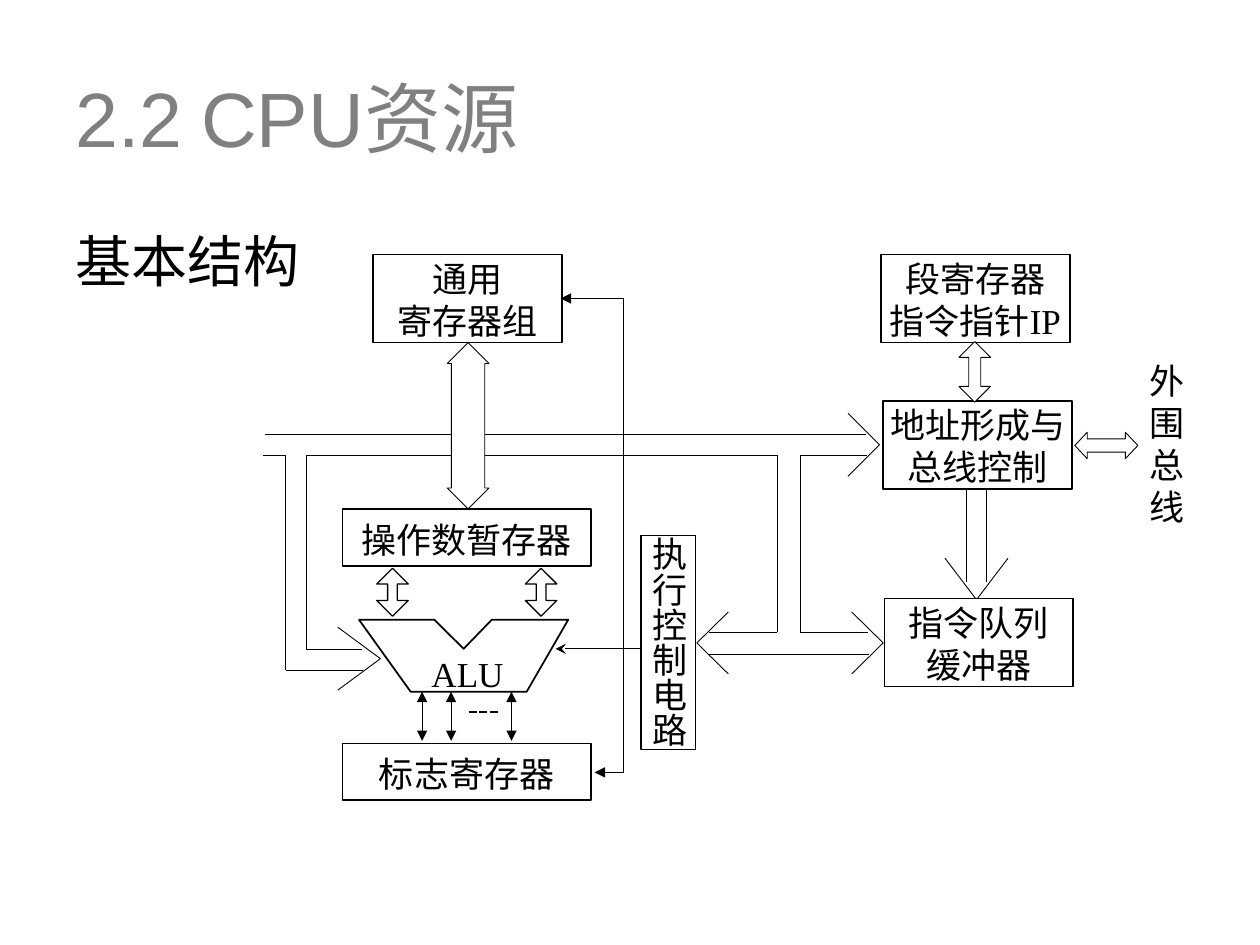
"""Build the slide on CPU resources with its block diagram."""
from itertools import pairwise

from lxml.etree import SubElement as Sub
from pptx import Presentation
from pptx.dml.color import RGBColor
from pptx.enum.dml import MSO_LINE as Dash
from pptx.enum.shapes import MSO_CONNECTOR as Conn, MSO_SHAPE as Kind
from pptx.enum.text import MSO_ANCHOR as Anchor, PP_ALIGN as Align
from pptx.oxml.ns import qn
from pptx.util import Pt

BLACK = RGBColor(0, 0, 0)
WHITE = RGBColor(255, 255, 255)
GRAY = RGBColor(128, 128, 128)


class Board:
    """Hold the text style and the slide being drawn."""

    def __init__(self, slide, face="Times New Roman", size=20):
        self.shapes = slide.shapes
        self.face = face
        self.size = size

    def letter(self, frame, text, color=BLACK, face=None, size=None, align=Align.CENTER):
        """Fill a text frame, one paragraph per line of text."""
        frame.word_wrap = True
        frame.text = text
        for para in frame.paragraphs:
            para.alignment = align
            para.font.name = face or self.face
            para.font.size = Pt(size or self.size)
            para.font.color.rgb = color

    def inset(self, frame, top):
        """Clear the margins of a text frame, save the top one."""
        frame.margin_left = frame.margin_right = frame.margin_bottom = 0
        frame.margin_top = Pt(top)

    def title(self, x, y, w, h, text, stop):
        """Add the heading, with one tab stop."""
        frame = self.shapes.add_textbox(Pt(x), Pt(y), Pt(w), Pt(h)).text_frame
        frame.vertical_anchor = Anchor.MIDDLE
        tabs = Sub(frame.paragraphs[0]._p.get_or_add_pPr(), qn("a:tabLst"))
        Sub(tabs, qn("a:tab"), pos=str(Pt(stop)), algn="l")
        self.letter(frame, text, GRAY, "Arial", 44, Align.LEFT)

    def bullet(self, x, y, w, h, text, size, indent):
        """Add one bulleted line."""
        frame = self.shapes.add_textbox(Pt(x), Pt(y), Pt(w), Pt(h)).text_frame
        para = frame.paragraphs[0]
        para.line_spacing = 0.9
        props = para._p.get_or_add_pPr()
        props.set("marL", str(Pt(indent)))
        props.set("indent", str(-Pt(indent)))
        Sub(props, qn("a:buSzPct"), val="90000")
        Sub(props, qn("a:buChar"), char="■")
        self.letter(frame, text, size=size, align=Align.LEFT)

    def label(self, x, y, w, h, text, top=0):
        """Add centred text without a frame."""
        frame = self.shapes.add_textbox(Pt(x), Pt(y), Pt(w), Pt(h)).text_frame
        self.inset(frame, top)
        self.letter(frame, text)

    def paint(self, shape, width):
        """Give a shape its white fill and black line."""
        shape.shadow.inherit = False
        shape.fill.solid()
        shape.fill.fore_color.rgb = WHITE
        shape.line.color.rgb = BLACK
        shape.line.width = Pt(width)

    def box(self, x, y, w, h, text, top=1, upright=False):
        """Add a framed block with centred text."""
        shape = self.shapes.add_shape(Kind.RECTANGLE, Pt(x), Pt(y), Pt(w), Pt(h))
        self.paint(shape, 1)
        frame = shape.text_frame
        frame.vertical_anchor = Anchor.MIDDLE
        self.inset(frame, top)
        if upright:
            frame._txBody.bodyPr.set("vert", "eaVert")
        self.letter(frame, text)

    def arrow(self, x, y, w, h, tip, width=0.5, kind=Kind.UP_DOWN_ARROW):
        """Add a double block arrow."""
        shape = self.shapes.add_shape(kind, Pt(x), Pt(y), Pt(w), Pt(h))
        shape.adjustments[0] = 0.5
        shape.adjustments[1] = tip
        self.paint(shape, width)

    def outline(self, points):
        """Add a closed outline without fill."""
        first, *rest = [(Pt(x), Pt(y)) for x, y in points]
        pen = self.shapes.build_freeform(*first, scale=1.0)
        pen.add_line_segments(rest, close=True)
        shape = pen.convert_to_shape()
        self.paint(shape, 1)
        shape.fill.background()

    def line(self, start, end, width=0.5, head=None, tail=None, dash=None):
        """Add a straight line, with arrowheads if named."""
        ends = [Pt(n) for n in (*start, *end)]
        link = self.shapes.add_connector(Conn.STRAIGHT, *ends)
        link.line.color.rgb = BLACK
        link.line.width = Pt(width)
        if dash:
            link.line.dash_style = dash
        ln = link.line._get_or_add_ln()
        for tag, name in (("a:headEnd", head), ("a:tailEnd", tail)):
            if name:
                Sub(ln, qn(tag), type=name)
        Sub(link._element.spPr, qn("a:effectLst"))

    def route(self, *points):
        """Join points by thin lines."""
        for start, end in pairwise(points):
            self.line(start, end)

    def tip(self, x, y, dx, dy):
        """Add an open arrow tip that points sideways."""
        self.route((x - dx, y - dy), (x, y), (x - dx, y + dy))


def main():
    deck = Presentation()
    deck.slide_width, deck.slide_height = Pt(720), Pt(540)
    board = Board(deck.slides.add_slide(deck.slide_layouts[6]))

    board.title(36, 21.6, 648, 90, "2.2\tCPU资源", 85.6)
    board.bullet(36, 126, 648, 41.8, "基本结构", 32, 27)

    high, low = 248.4, 260
    board.route((151.2, high), (494.6, high))
    board.route((150.5, low), (163.4, low), (163.4, 383), (207.4, 383))
    board.route((206.6, 371), (175, 371), (175, low),
                (444.2, low), (444.2, 361.4), (405.4, 361.4))
    board.route((495.4, low), (457.2, low), (457.2, 361.4), (496, 361.4))
    board.route((496.8, 373.7), (404.6, 373.7))
    for x in (552.2, 563.8):
        board.route((x, 279.4), (x, 332.6))
    board.tip(217.4, 376.4, 24.4, 18)
    board.tip(502.6, 254.2, 18, 18)
    board.tip(504.7, 367.4, 18, 17.7)
    board.tip(398.2, 367.4, -18, 17.7)
    board.route((540, 319), (558, 342.7), (576, 319))

    for x, y, text in ((213, 145.4, "通用\n寄存器组"),
                       (503.3, 145.4, "段寄存器\n指令指针IP"),
                       (504.7, 229, "地址形成与总线控制"),
                       (505.4, 342, "指令队列\n缓冲器")):
        board.box(x, y, 108, 50.4, text)
    for y, text in ((291, "操作数暂存器"), (424.8, "标志寄存器")):
        board.box(195.8, y, 141.8, 32.4, text, 2)
    board.box(366.5, 306, 31, 122.4, "执行控制电路", upright=True)

    board.outline([(205.2, 354.2), (248.2, 354.2), (265, 370.8), (281, 354.2),
                   (324.7, 354.2), (301, 395.3), (234.7, 395.3)])
    board.label(238.7, 373, 56.9, 28, "ALU")
    board.label(648.7, 199.4, 36, 119.5, "外\n围\n总\n线", 6)

    board.arrow(255.6, 195.8, 23.8, 95, 0.8)
    board.arrow(548, 195.2, 18, 34.6, 0.38)
    for x in (215.3, 300.2):
        board.arrow(x, 324.7, 18, 27.4, 0.31, 0.75)
    board.arrow(614.2, 247, 36, 15.1, 0.47, kind=Kind.LEFT_RIGHT_ARROW)

    for x in (241.2, 257.8, 292.3):
        board.line((x, 395.3), (x, 423.4), 0.25, "triangle", "triangle")
    board.line((267.8, 406.8), (285.8, 406.8), 1.5, dash=Dash.SQUARE_DOT)
    board.route((356.4, 170.6), (356.4, 441.4))
    board.line((356.4, 170.6), (320.4, 170.6), tail="triangle")
    board.line((356.4, 441.4), (339.8, 441.4), tail="triangle")
    board.line((365.8, 370.8), (317.5, 370.8), tail="stealth")

    deck.save("out.pptx")


if __name__ == "__main__":
    main()
